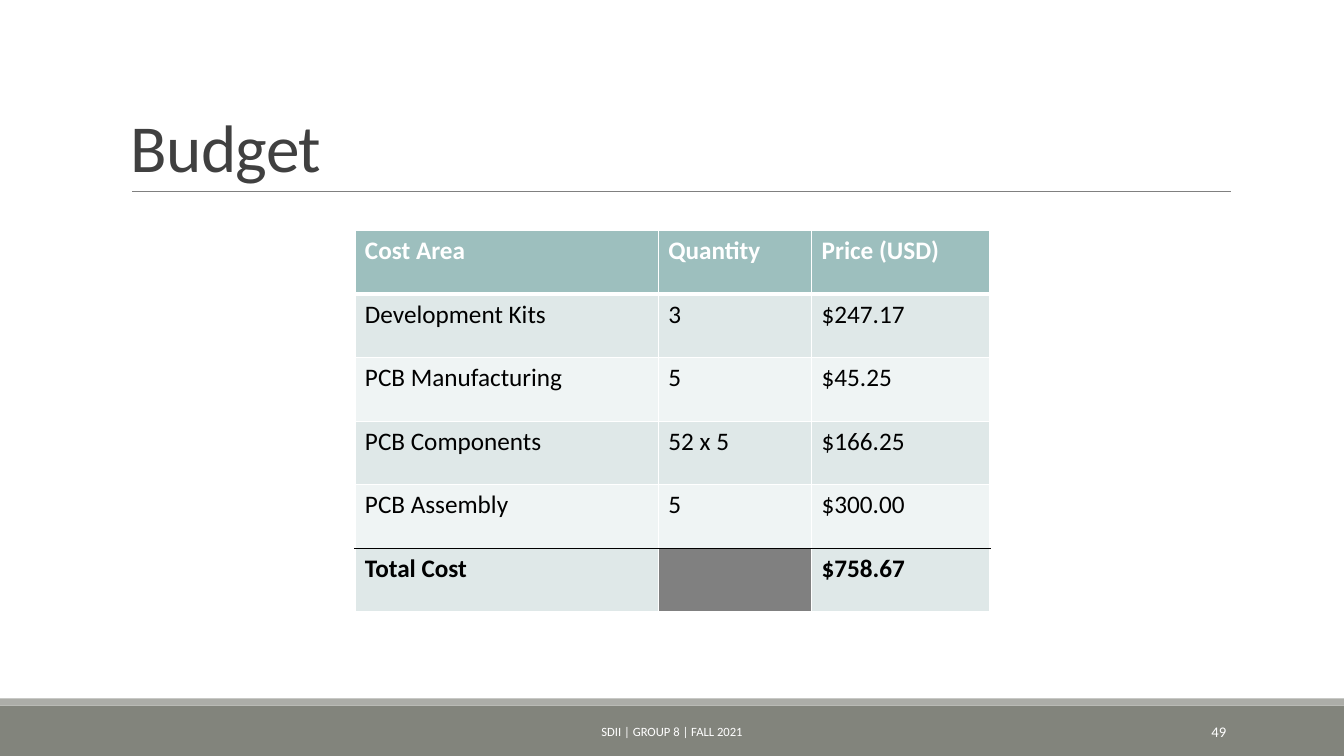
from dataclasses import dataclass

from lxml import etree
from pptx import Presentation
from pptx.dml import color
from pptx.enum import shapes, text
from pptx.oxml import ns
from pptx.util import Inches, Pt

COLORS = {
    "white": "FFFFFF",
    "black": "000000",
    "title": "404040",
    "gray": "808080",
    "footer": "82847C",
    "stripe": "ACADA8",
    "header": "9DBFBE",
    "band_dark": "DFE8E8",
    "band_light": "EFF4F4",
}
FONT = "Calibri"


@dataclass(frozen=True)
class Bar:
    top: float
    height: float
    fill: str


@dataclass(frozen=True)
class Label:
    words: str
    left: float
    top: float
    width: float
    height: float
    size: float
    ink: str
    anchor: text.MSO_ANCHOR = text.MSO_ANCHOR.MIDDLE
    align: text.PP_ALIGN = text.PP_ALIGN.LEFT
    line_spacing: float = 1.0
    tracking: int = 0  # hundredths of a point


BARS = [Bar(7, 0.5, "footer"), Bar(6.93, 0.07, "stripe")]
LABELS = [
    Label("Budget", 1.2, 0.31, 11, 1.59, 48, "title",
          anchor=text.MSO_ANCHOR.BOTTOM, line_spacing=0.85, tracking=-50),
    Label("SDII | GROUP 8 | FALL 2021", 4.03, 7.06, 5.27, 0.4, 9, "white",
          align=text.PP_ALIGN.CENTER),
    Label("49", 10.83, 7.06, 1.43, 0.4, 10.5, "white",
          align=text.PP_ALIGN.RIGHT),
]
BUDGET = [
    ("Cost Area", "Quantity", "Price (USD)"),
    ("Development Kits", "3", "$247.17"),
    ("PCB Manufacturing", "5", "$45.25"),
    ("PCB Components", "52 x 5", "$166.25"),
    ("PCB Assembly", "5", "$300.00"),
    ("Total Cost", "", "$758.67"),
]
COLUMN_WIDTHS = [3.01, 1.52, 1.77]
ROW_HEIGHT = 0.63


def rgb(name: str) -> color.RGBColor:
    return color.RGBColor.from_string(COLORS[name])


def add_span(para, words: str, size: float, ink: str, bold: bool = False):
    span = para.add_run()
    span.text = words
    for name, value in {"name": FONT, "size": Pt(size), "bold": bold}.items():
        setattr(span.font, name, value)
    span.font.color.rgb = rgb(ink)
    return span


def draw_bar(page, bar: Bar) -> None:
    shape = page.shapes.add_shape(
        shapes.MSO_SHAPE.RECTANGLE, 0, Inches(bar.top), Inches(13.33), Inches(bar.height))
    shape.shadow.inherit = False
    shape.fill.solid()
    shape.fill.fore_color.rgb = rgb(bar.fill)
    shape.line.fill.background()


def draw_rule(page) -> None:
    rule = page.shapes.add_connector(
        shapes.MSO_CONNECTOR.STRAIGHT, Inches(1.31), Inches(1.9), Inches(12.21), Inches(1.9))
    rule.line.color.rgb = rgb("gray")
    rule.line.width = Pt(0.5)
    etree.SubElement(rule._element.spPr, ns.qn("a:effectLst"))


def draw_label(page, label: Label) -> None:
    box = page.shapes.add_textbox(*map(
        Inches, (label.left, label.top, label.width, label.height)))
    frame = box.text_frame
    for name, value in {"word_wrap": True, "vertical_anchor": label.anchor}.items():
        setattr(frame, name, value)
    para = frame.paragraphs[0]
    for name, value in {"alignment": label.align, "line_spacing": label.line_spacing}.items():
        setattr(para, name, value)
    span = add_span(para, label.words, label.size, label.ink)
    if label.tracking:
        span.font._element.set("spc", str(label.tracking))


def set_borders(cell, top: tuple[str, float], bottom: tuple[str, float]) -> None:
    side = ("white", 1)
    borders = {"lnL": side, "lnR": side, "lnT": top, "lnB": bottom}
    properties = cell._tc.get_or_add_tcPr()
    # Borders must come before the fill in the cell properties
    for index, (tag, (ink, points)) in enumerate(borders.items()):
        line = etree.Element(ns.qn(f"a:{tag}"), w=str(Pt(points)))
        fill = etree.SubElement(line, ns.qn("a:solidFill"))
        etree.SubElement(fill, ns.qn("a:srgbClr"), val=COLORS[ink])
        properties.insert(index, line)


def draw_budget(page) -> None:
    last = len(BUDGET) - 1
    table = page.shapes.add_table(
        len(BUDGET), len(COLUMN_WIDTHS), Inches(3.52), Inches(2.29),
        Inches(sum(COLUMN_WIDTHS)), Inches(ROW_HEIGHT * len(BUDGET))).table
    for column, width in zip(table.columns, COLUMN_WIDTHS):
        column.width = Inches(width)

    # Line above each row, and one below the last
    edges = [("white", 1)] * (len(BUDGET) + 1)
    edges[1] = ("white", 3)
    edges[last] = ("black", 1)

    for r, row in enumerate(BUDGET):
        table.rows[r].height = Inches(ROW_HEIGHT)
        band = "header" if r == 0 else "band_dark" if r % 2 else "band_light"
        for c, words in enumerate(row):
            cell = table.cell(r, c)
            cell.fill.solid()
            cell.fill.fore_color.rgb = rgb(band if words else "gray")
            set_borders(cell, edges[r], edges[r + 1])
            if words:
                add_span(cell.text_frame.paragraphs[0], words, 18,
                         "black" if r else "white", bold=r in (0, last))


def main() -> None:
    deck = Presentation()
    deck.slide_width, deck.slide_height = Inches(13.33), Inches(7.5)
    page = deck.slides.add_slide(deck.slide_layouts[6])

    # Footer bars and title rule
    for bar in BARS:
        draw_bar(page, bar)
    draw_rule(page)

    # Title, footer and page number
    for label in LABELS:
        draw_label(page, label)

    # Cost table
    draw_budget(page)
    deck.save("out.pptx")


if __name__ == "__main__":
    main()
